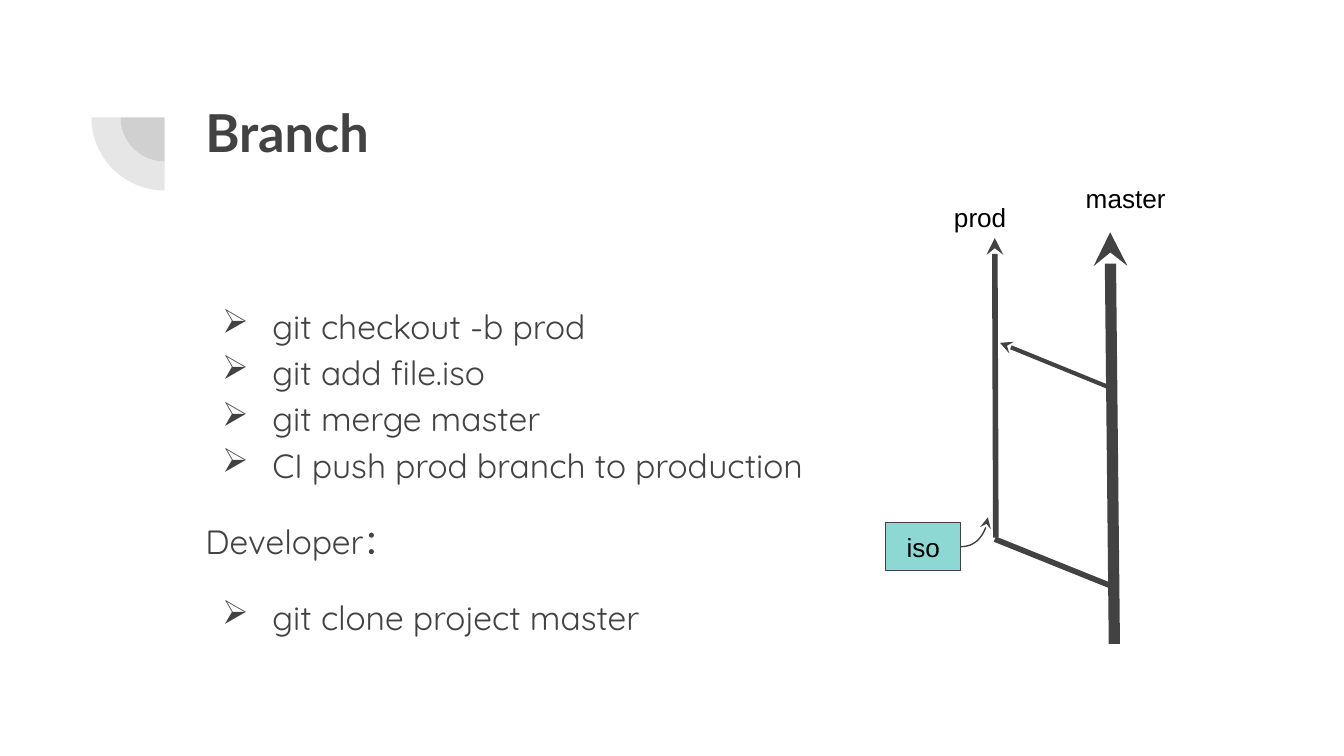
"""Build the Branch slide with its git commands and branch diagram."""
from typing import NamedTuple

import lxml.etree
import pptx
import pptx.dml.color
import pptx.enum.shapes
import pptx.enum.text
import pptx.oxml.ns
import pptx.util

Cm = pptx.util.Cm
qn = pptx.oxml.ns.qn
INK = pptx.dml.color.RGBColor(0x42, 0x42, 0x42)
BLACK = pptx.dml.color.RGBColor(0, 0, 0)
TEAL = pptx.dml.color.RGBColor(0x8D, 0xD8, 0xD3)
CURVE = pptx.enum.shapes.MSO_CONNECTOR.CURVE
STRAIGHT = pptx.enum.shapes.MSO_CONNECTOR.STRAIGHT


class Label(NamedTuple):
    text: str
    left: float
    top: float
    width: float
    height: float
    size: int = 14
    font: str = "Arial"
    color: pptx.dml.color.RGBColor = BLACK
    bold: bool = False


class Branch(NamedTuple):
    start: tuple[float, float]
    end: tuple[float, float]
    weight: float
    arrow: bool = True


class Item(NamedTuple):
    text: str
    bullet: bool = True
    space_before: int = 0


LABELS = [
    Label("Branch", 3.63, 1.65, 19.53, 2.77, 28, "Lato", INK, True),
    Label("master", 20.27, 3.2, 4.78, 1.19),
    Label("prod", 17.78, 3.56, 1.8, 0.91),
]
BRANCHES = [
    Branch((21.06, 12.17), (20.98, 4.39), 6),
    Branch((21.06, 11.1), (18.8, 10.19), 3, arrow=False),
    Branch((18.82, 10.16), (18.8, 4.5), 3),
    Branch((21.08, 7.37), (18.9, 6.48), 2.25),
]
ITEMS = [
    Item("git checkout -b prod"),
    Item("git add file.iso"),
    Item("git merge master"),
    Item("CI push prod branch to production"),
    Item("Developer：", bullet=False, space_before=16),
    Item("git clone project master", space_before=16),
]


def write(para, text: str, *, size: int, font: str, color, bold: bool = False) -> None:
    span = para.add_run()
    span.text = text
    span.font.size = pptx.util.Pt(size)
    span.font.name = font
    span.font.color.rgb = color
    span.font.bold = bold


def add_box(page, left: float, top: float, width: float, height: float):
    box = page.shapes.add_textbox(Cm(left), Cm(top), Cm(width), Cm(height))
    set_frame(box.text_frame)
    return box


def set_frame(frame) -> None:
    frame.word_wrap = True
    frame.margin_left = frame.margin_right = Cm(0.25)
    frame.margin_top = frame.margin_bottom = Cm(0.25)


def add_label(page, label: Label) -> None:
    box = add_box(page, label.left, label.top, label.width, label.height)
    write(box.text_frame.paragraphs[0], label.text, size=label.size,
          font=label.font, color=label.color, bold=label.bold)


def add_quarter(page, radius: float) -> None:
    center_x, center_y = 3.11, 2.22
    pie = page.shapes.add_shape(
        pptx.enum.shapes.MSO_SHAPE.PIE, Cm(center_x - radius),
        Cm(center_y - radius), Cm(2 * radius), Cm(2 * radius))
    pie.adjustments[0], pie.adjustments[1] = 108, 162
    pie.rotation = 270
    pie.shadow.inherit = False
    pie.line.fill.background()
    pie.fill.solid()
    pie.fill.fore_color.rgb = INK
    color = pie._element.spPr.find(qn("a:solidFill"))[0]
    lxml.etree.SubElement(color, qn("a:alpha"), val="13000")


def add_branch(page, branch: Branch, kind=STRAIGHT):
    line = page.shapes.add_connector(
        kind, *(Cm(value) for value in branch.start + branch.end))
    line.line.color.rgb = INK
    line.line.width = pptx.util.Pt(branch.weight)
    properties = line._element.spPr
    if branch.arrow:
        lxml.etree.SubElement(properties.find(qn("a:ln")), qn("a:tailEnd"), type="stealth")
    lxml.etree.SubElement(properties, qn("a:effectLst"))
    return line


def add_bullet(para) -> None:
    properties = para._p.get_or_add_pPr()
    properties.set("marL", str(Cm(1.27)))
    properties.set("indent", str(-Cm(0.95)))
    color = lxml.etree.SubElement(properties, qn("a:buClr"))
    lxml.etree.SubElement(color, qn("a:srgbClr"), val=str(INK))
    lxml.etree.SubElement(properties, qn("a:buChar"), char="➢")


def add_commands(page, items: list[Item]) -> None:
    frame = add_box(page, 3.63, 5.41, 11.99, 7.19).text_frame
    for index, item in enumerate(items):
        para = frame.add_paragraph() if index else frame.paragraphs[0]
        para.line_spacing = 1.15
        para.space_before = pptx.util.Pt(item.space_before)
        if item.bullet:
            add_bullet(para)
        write(para, item.text, size=18, font="Quicksand", color=INK)


def add_file(page) -> None:
    box = page.shapes.add_shape(
        pptx.enum.shapes.MSO_SHAPE.RECTANGLE, Cm(16.74), Cm(9.88), Cm(1.42), Cm(0.91))
    box.shadow.inherit = False
    box.fill.solid()
    box.fill.fore_color.rgb = TEAL
    box.line.color.rgb = INK
    box.line.width = pptx.util.Pt(0.75)
    set_frame(box.text_frame)
    box.text_frame.vertical_anchor = pptx.enum.text.MSO_ANCHOR.MIDDLE
    para = box.text_frame.paragraphs[0]
    para.alignment = pptx.enum.text.PP_ALIGN.CENTER
    write(para, "iso", size=14, font="Arial", color=BLACK)
    curve = add_branch(page, Branch((18.16, 10.34), (18.67, 9.78), 0.75), CURVE)
    curve._element.spPr.find(qn("a:prstGeom")).set("prst", "curvedConnector2")
    curve.begin_connect(box, 3)


def main() -> None:
    deck = pptx.Presentation()
    deck.slide_width, deck.slide_height = Cm(25.4), Cm(14.29)
    page = deck.slides.add_slide(deck.slide_layouts[6])
    for radius in (0.83, 1.38):
        add_quarter(page, radius)
    for label in LABELS:
        add_label(page, label)
    for branch in BRANCHES:
        add_branch(page, branch)
    add_commands(page, ITEMS)
    add_file(page)
    deck.save("out.pptx")


if __name__ == "__main__":
    main()
